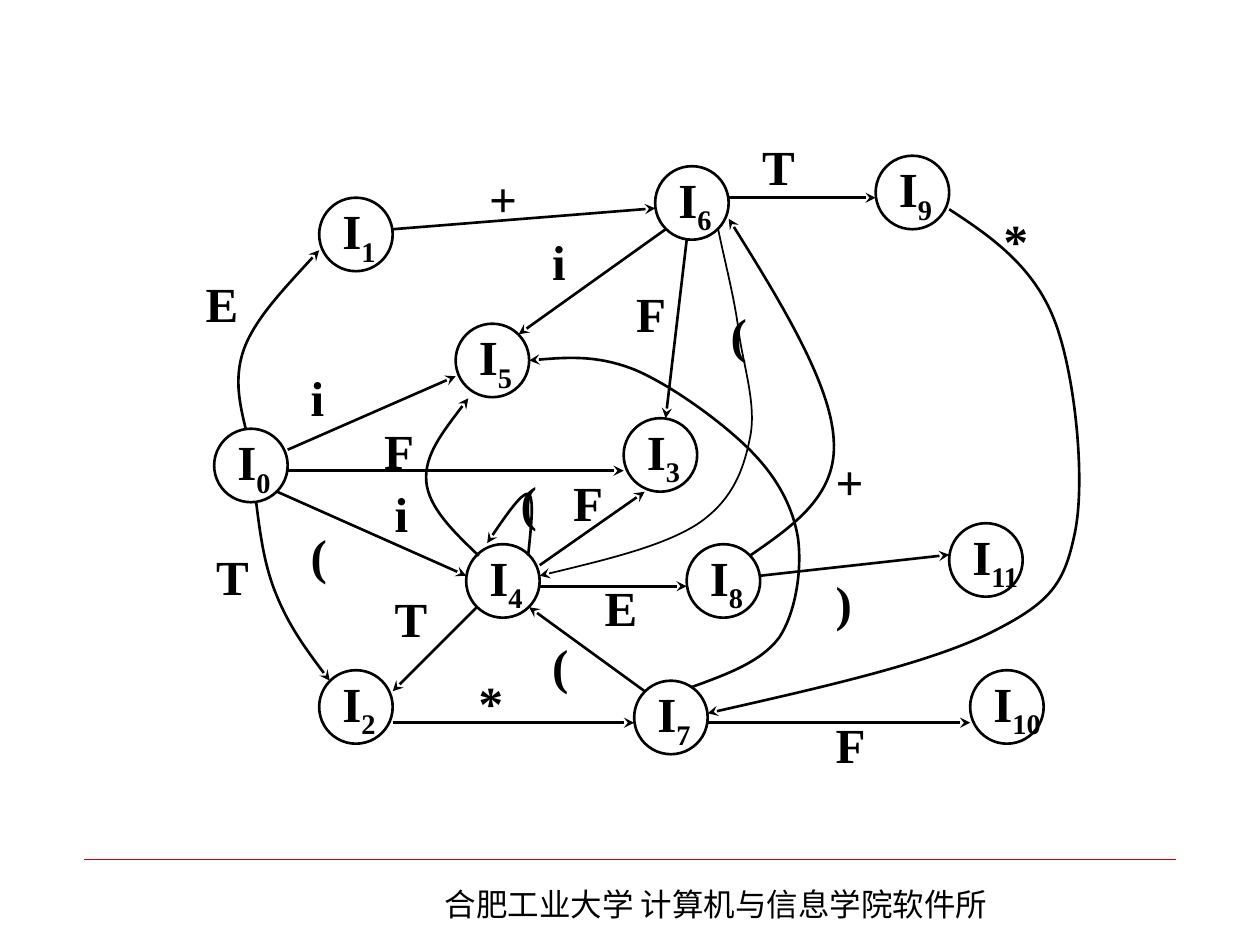
import pptx
import pptx.dml.color
import pptx.enum.shapes
import pptx.enum.text
import pptx.oxml.ns
import pptx.util
from lxml import etree

Pt = pptx.util.Pt
qn = pptx.oxml.ns.qn
KINDS = pptx.enum.shapes

# The diagram sits on a grid of 6 pt cells; all its places are (column, row).
CELL, LEFT, TOP = 6, 2.4, 5
BLACK = "000000"
BOLD = {"size": Pt(28), "bold": True, "name": "Times New Roman"}
PLAIN = {"size": Pt(18), "name": "Noto Sans CJK SC"}


def ink(code):
    return pptx.dml.color.RGBColor.from_string(code)


def pen(shape, code, width):
    """Outline a shape or connector, without shadow, and return its a:ln."""
    shape.line.color.rgb = ink(code)
    shape.line.width = Pt(width)
    props = shape._element.spPr
    etree.SubElement(props, qn("a:effectLst"))
    return props.find(qn("a:ln"))


deck = pptx.Presentation()
deck.slide_width, deck.slide_height = Pt(720), Pt(540)
slide = deck.slides.add_slide(deck.slide_layouts[6])
shapes = slide.shapes

# Footer
rule = shapes.add_connector(KINDS.MSO_CONNECTOR.STRAIGHT, Pt(48), Pt(491), Pt(672), Pt(491))
pen(rule, "CC0000", 0.25)
foot = shapes.add_textbox(Pt(247), Pt(502), Pt(345.6), Pt(28.8))
foot.text_frame.word_wrap = True
foot.text_frame.auto_size = pptx.enum.text.MSO_AUTO_SIZE.SHAPE_TO_FIT_TEXT
para = foot.text_frame.paragraphs[0]
para.space_before = Pt(11.2)
run = para.add_run()
run.text = "合肥工业大学 计算机与信息学院软件所"
for key, value in PLAIN.items():
    setattr(run.font, key, value)
run.font.color.rgb = ink(BLACK)
etree.SubElement(run._r.get_or_add_rPr(), qn("a:ea"), typeface=PLAIN["name"])

# Arrows: two points make a straight line, more make a chain of cubic curves
arrows = [
    [(27, 42), (43, 35)],
    [(27, 44), (59, 44)],
    [(26, 46), (44, 54)],
    [(45, 57), (37, 65)],
    [(61, 65), (50, 57)],
    [(37, 68), (60, 68)],
    [(67, 68), (92, 68)],
    [(37, 21), (62, 19)],
    [(69, 18), (83, 18)],
    [(51, 53), (61, 46)],
    [(51, 55), (65, 55)],
    [(63, 21), (49, 31)],
    [(65, 22), (63, 39)],
    [(72, 54), (90, 52)],
    # 0 to 1
    [(23, 40), (22.4, 37.5), (21.8, 34.9), (23, 32),
     (24.2, 29.2), (27.1, 26.2), (30, 23)],
    # 0 to 2
    [(24, 47), (24.4, 50.2), (24.8, 53.2), (26, 56),
     (27.2, 58.9), (29.1, 61.5), (31, 64)],
    # 4 to 5
    [(45.2, 52.1), (42.8, 49.8), (40.4, 47.5), (40.2, 45),
     (40, 42.5), (42.1, 39.9), (44.2, 37.1)],
    # 4 to itself
    [(49.9, 52.1), (50.2, 49.2), (50.5, 46.5), (49.9, 46.2),
     (49.3, 46.1), (47.6, 48.5), (46, 50.9)],
    # 7 to 5
    [(65.5, 64.6), (68.8, 63.4), (72.1, 62.2), (73.8, 59.9),
     (75.4, 57.5), (76, 53.4), (75.6, 50.4),
     (75.1, 47.4), (73.6, 44.6), (71, 42),
     (68.4, 39.4), (63.6, 35.9), (60.1, 34.4),
     (56.6, 33), (53.2, 33.2), (50, 33.5)],
    # 8 to 6
    [(71, 52.1), (75.2, 49.2), (79.4, 46.3), (79, 41),
     (78.7, 35.8), (73.9, 27.8), (69, 20)],
    # 9 to 7
    [(90, 19.1), (94, 21.7), (98, 24.5), (100, 29.6),
     (102, 34.7), (103, 44.8), (102, 49.8),
     (101, 54.7), (99.8, 56.5), (94, 59.4),
     (88.2, 62.3), (77.6, 64.7), (67, 67.1)],
    # 6 to 4, the thin one
    [(68, 21), (68.7, 24.4), (69.6, 27.7), (70, 31.1),
     (70.5, 34.3), (71.7, 38), (71, 41),
     (70.4, 44), (69.3, 46.9), (66, 49.1),
     (62.7, 51.2), (56.8, 52.6), (51, 54)],
]
for spots in arrows:
    start, *rest = [(Pt(LEFT + CELL * col), Pt(TOP + CELL * row)) for col, row in spots]
    if len(rest) == 1:
        arrow = shapes.add_connector(KINDS.MSO_CONNECTOR.STRAIGHT, *start, *rest[0])
    else:
        draft = shapes.build_freeform(*start)
        draft.add_line_segments(rest, close=False)
        arrow = draft.convert_to_shape()
        arrow.fill.background()
        track = next(arrow._element.iter(qn("a:path")))
        steps = track.findall(qn("a:lnTo"))
        for first in range(0, len(steps), 3):
            curve = etree.SubElement(track, qn("a:cubicBezTo"))
            for step in steps[first:first + 3]:
                curve.append(step[0])
                track.remove(step)
    line = pen(arrow, BLACK, 1 if spots is arrows[-1] else 1.5)
    etree.SubElement(line, qn("a:tailEnd"), type="stealth")

# States, numbered in order, and arrow labels: text, index, column, row, rows
states = [(20, 40), (30, 18), (30, 63), (59, 39), (44, 51), (43, 30),
          (62, 15), (60, 64), (65, 51), (83, 14), (92, 63), (90, 49)]
labels = [
    ("E", 18, 25, 6), ("+", 45, 15, 6), ("T", 71, 12, 6), ("*", 94, 19, 6),
    ("T", 19, 51, 6), ("T", 36, 55, 6), ("i", 28, 34, 6), ("F", 35, 39, 6),
    ("(", 28, 49, 6), ("i", 36, 45, 6), ("(", 48, 44, 6), ("F", 53, 44, 6),
    ("E", 56, 54, 6), ("(", 68, 28, 6), ("F", 59, 26, 6), ("i", 51, 21, 6),
    ("+", 78, 42, 6), ("F", 78, 67, 6), ("*", 44, 64, 4), ("(", 51, 60, 5),
    (")", 78, 54, 5),
]
items = [("I", str(num), *spot, 7) for num, spot in enumerate(states)]
items += [(text, "", *place) for text, *place in labels]
for text, index, col, row, rows in items:
    area = (Pt(LEFT + CELL * col), Pt(TOP + CELL * row), Pt(CELL * 7), Pt(CELL * rows))
    if index:
        box = shapes.add_shape(KINDS.MSO_SHAPE.OVAL, *area)
        box.fill.background()
        pen(box, BLACK, 1.5)
    else:
        box = shapes.add_textbox(*area)
    frame = box.text_frame
    frame.word_wrap = False
    frame.vertical_anchor = pptx.enum.text.MSO_ANCHOR.MIDDLE
    para = frame.paragraphs[0]
    para.alignment = pptx.enum.text.PP_ALIGN.LEFT
    for part in filter(None, (text, index)):
        run = para.add_run()
        run.text = part
        for key, value in BOLD.items():
            setattr(run.font, key, value)
        run.font.color.rgb = ink(BLACK)
        if part == index:
            run._r.get_or_add_rPr().set("baseline", "-25000")

deck.save("out.pptx")
